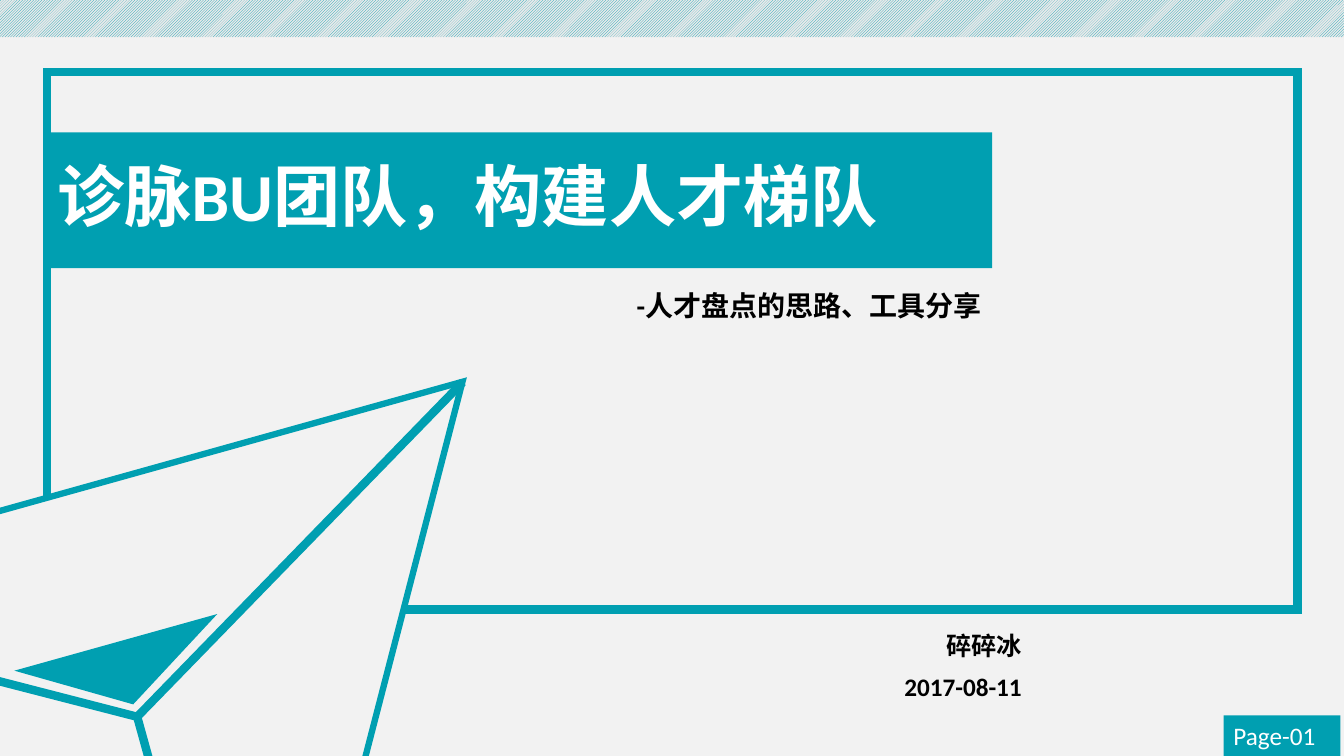
"""Build the title slide of a talent review deck, with a paper plane motif."""
from lxml import etree
from pptx import Presentation
from pptx.dml.color import RGBColor
from pptx.enum.dml import MSO_PATTERN
from pptx.enum.shapes import MSO_CONNECTOR, MSO_SHAPE
from pptx.enum.text import MSO_ANCHOR, MSO_AUTO_SIZE, PP_ALIGN
from pptx.oxml.ns import qn
from pptx.util import Pt

RECTANGLE = MSO_SHAPE.RECTANGLE
TRIANGLE = MSO_SHAPE.ISOSCELES_TRIANGLE
STRAIGHT = MSO_CONNECTOR.STRAIGHT
HATCH = MSO_PATTERN.LIGHT_UPWARD_DIAGONAL
MIDDLE, TOP = MSO_ANCHOR.MIDDLE, MSO_ANCHOR.TOP
LEFT, RIGHT = PP_ALIGN.LEFT, PP_ALIGN.RIGHT
FIT_SHAPE = MSO_AUTO_SIZE.SHAPE_TO_FIT_TEXT

FONT = "Calibri"
COLORS = {
    "paper": "F2F2F2",
    "teal": "009FB1",
    "hatch": "E9E9E9",
    "white": "FFFFFF",
    "black": "000000",
}
PLANE_ANGLE = 164.4
PLANE_FOLD = (98, 512)
PLANE_CORNERS = [(186.5, 831), (330.5, 273), (-226, 428.5)]


def color(name):
    return RGBColor.from_string(COLORS[name])


def add_figure(page, kind, bounds, fill=None, line_width=None, angle=0):
    figure = page.shapes.add_shape(kind, *map(Pt, bounds))
    figure.shadow.inherit = False
    figure.rotation = angle
    if fill:
        figure.fill.solid()
        figure.fill.fore_color.rgb = color(fill)
    else:
        figure.fill.background()
    if line_width:
        figure.line.color.rgb = color("teal")
        figure.line.width = Pt(line_width)
        outline = figure.line.fill._xPr
        etree.SubElement(outline, qn("a:miter"), lim="800000")
    else:
        figure.line.fill.background()
    return figure


def add_hatched_band(page, bounds):
    band = add_figure(page, RECTANGLE, bounds)
    band.fill.patterned()
    band.fill.pattern = HATCH
    band.fill.fore_color.rgb = color("teal")
    band.fill.back_color.rgb = color("hatch")


def add_crease(page, start, end):
    crease = page.shapes.add_connector(STRAIGHT, *map(Pt, start + end))
    crease.line.color.rgb = color("teal")
    crease.line.width = Pt(6)
    etree.SubElement(crease._element.spPr, qn("a:effectLst"))


def add_plane(page):
    add_figure(page, TRIANGLE, (-170, 341.25, 578, 498.25), "paper", 4.5, PLANE_ANGLE)
    for corner in PLANE_CORNERS:
        add_crease(page, corner, PLANE_FOLD)
    add_figure(page, TRIANGLE, (13.7, 458, 150.5, 46), "teal", angle=PLANE_ANGLE)


def write(box, text, size, ink, align=LEFT, bold=True, before=10, spacing=0.9, anchor=MIDDLE):
    frame = box.text_frame
    frame.text = text
    frame.word_wrap = True
    frame.vertical_anchor = anchor
    for para in frame.paragraphs:
        para.alignment = align
        para.line_spacing = spacing
        para.space_before = Pt(before)
        for span in para.runs:
            span.font.name = FONT
            span.font.size = Pt(size)
            span.font.bold = bold
            span.font.color.rgb = color(ink)


def add_caption(page, bounds, text, size):
    box = page.shapes.add_textbox(*map(Pt, bounds))
    write(box, text, size, "black", RIGHT)


def add_page_label(page, bounds, text):
    label = add_figure(page, RECTANGLE, bounds, "teal")
    write(label, text, 18, "white", bold=False, before=0, spacing=1.0, anchor=TOP)
    label.text_frame.word_wrap = False
    label.text_frame.auto_size = FIT_SHAPE


def main():
    deck = Presentation()
    deck.slide_width, deck.slide_height = Pt(960), Pt(540)
    page = deck.slides.add_slide(deck.slide_layouts[6])
    page.background.fill.solid()
    page.background.fill.fore_color.rgb = color("paper")

    add_figure(page, RECTANGLE, (33.75, 51.25, 893, 384), line_width=6)
    add_hatched_band(page, (-1, -2, 961, 28.5))
    add_plane(page)

    title = add_figure(page, RECTANGLE, (33.75, 94.5, 675, 97), "teal")
    write(title, "诊脉BU团队，构建人才梯队", 48, "white")
    add_caption(page, (253, 199.5, 455.5, 39.5), "-人才盘点的思路、工具分享", 20)
    add_caption(page, (281.5, 450, 455.5, 54.5), "碎碎冰\n2017-08-11", 18)
    add_page_label(page, (874, 511, 83.5, 29), "Page-01")
    deck.save("out.pptx")


if __name__ == "__main__":
    main()
